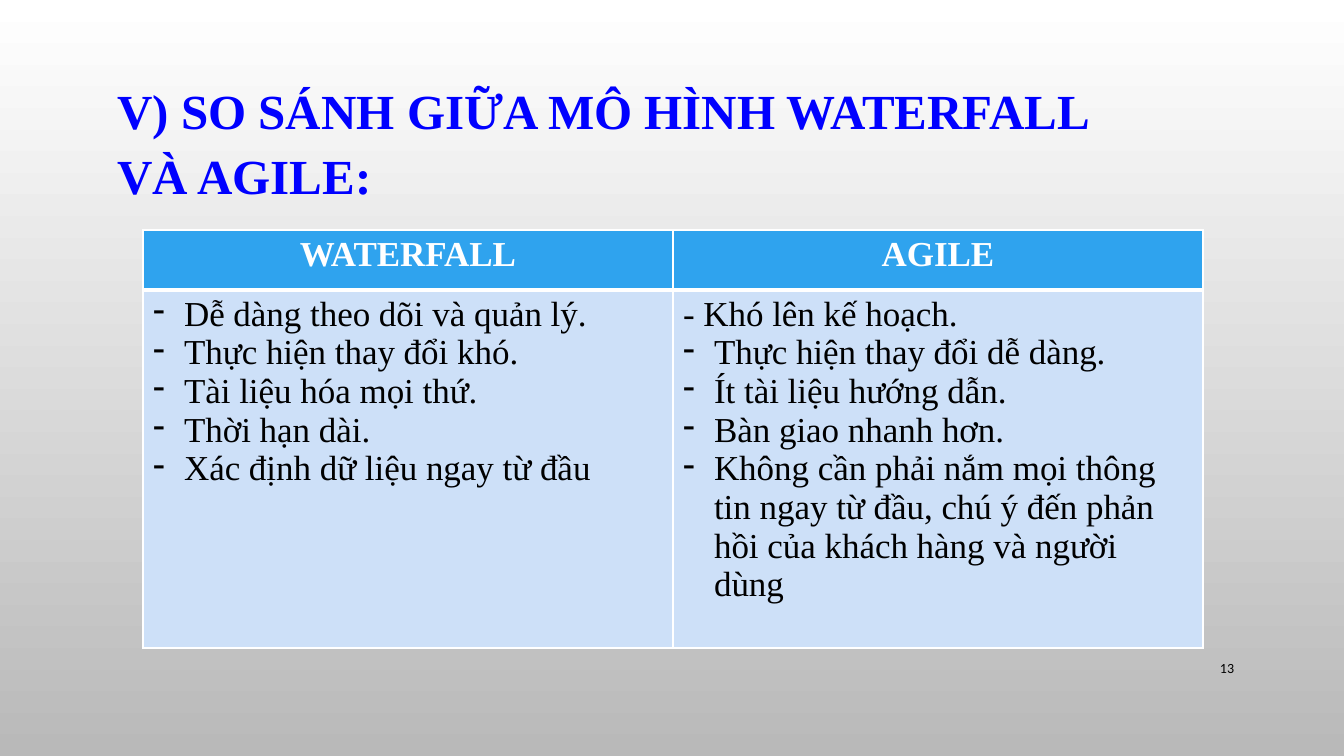
import pptx
import pptx.util
import pptx.dml.color
import pptx.enum.text
from pptx.oxml.ns import qn
from lxml import etree

ALIGN = pptx.enum.text.PP_ALIGN
ANCHOR = pptx.enum.text.MSO_ANCHOR
SERIF = "Times New Roman"

WATERFALL = ["Dễ dàng theo dõi và quản lý.", "Thực hiện thay đổi khó.",
             "Tài liệu hóa mọi thứ.", "Thời hạn dài.",
             "Xác định dữ liệu ngay từ đầu"]
AGILE = ["- Khó lên kế hoạch.", "Thực hiện thay đổi dễ dàng.",
         "Ít tài liệu hướng dẫn.", "Bàn giao nhanh hơn.",
         "Không cần phải nắm mọi thông tin ngay từ đầu, "
         "chú ý đến phản hồi của khách hàng và người dùng"]


def px(n):
    """Turn pixels, 100.8 to the inch, into EMU."""
    return pptx.util.Emu(round(n * 914400 / 100.8))


def rgb(color):
    return pptx.dml.color.RGBColor.from_string(color)


def write(p, text, size=25, font=SERIF, color="000000", bold=False,
          align=ALIGN.LEFT, spacing=1.0, dash=False):
    p.alignment = align
    p.line_spacing = spacing
    r = p.add_run()
    r.text = text
    r.font.size = pptx.util.Pt(size)
    r.font.name = font
    r.font.bold = bold
    r.font.color.rgb = rgb(color)
    if dash:
        pPr = p._p.get_or_add_pPr()
        pPr.set("marL", str(px(31)))
        pPr.set("indent", str(px(-31)))
        etree.SubElement(pPr, qn("a:buFontTx"))
        etree.SubElement(pPr, qn("a:buChar"), char="-")


class Slide:
    def __init__(self, prs):
        self.s = prs.slides.add_slide(prs.slide_layouts[5])
        self.title_color = "0000FF"
        self.header_fill, self.body_fill = "2FA3EE", "CDE0F8"
        self.border = "FFFFFF"

    def background(self, top, bottom):
        fill = self.s.background.fill
        fill.gradient()
        fill.gradient_angle = 270
        for stop, color in zip(fill.gradient_stops, (top, bottom)):
            stop.color.rgb = rgb(color)

    def title(self, text, x, y, w, h):
        sp = self.s.shapes.title
        sp.left, sp.top, sp.width, sp.height = map(px, (x, y, w, h))
        tf = sp.text_frame
        tf.word_wrap = True
        tf.auto_size = pptx.enum.text.MSO_AUTO_SIZE.NONE
        tf.vertical_anchor = ANCHOR.TOP
        write(tf.paragraphs[0], text, size=35, color=self.title_color,
              bold=True, spacing=1.1)

    def cell(self, cell, fill, top=1, bottom=1):
        """Fill a cell and draw its borders, widths in points."""
        tcPr = cell._tc.get_or_add_tcPr()
        for side, width in zip("LRTB", (1, 1, top, bottom)):
            ln = etree.SubElement(tcPr, qn("a:ln" + side),
                                  w=str(pptx.util.Pt(width)))
            solid = etree.SubElement(ln, qn("a:solidFill"))
            etree.SubElement(solid, qn("a:srgbClr"), val=self.border)
        cell.fill.solid()
        cell.fill.fore_color.rgb = rgb(fill)

    def comparison(self, columns, x, y, w, row_heights):
        """Draw a header and a dashed list for each column."""
        table = self.s.shapes.add_table(
            2, len(columns), px(x), px(y), px(w), px(sum(row_heights))).table
        table.horz_banding = False
        for row, height in zip(table.rows, row_heights):
            row.height = px(height)
        for i, (heading, items) in enumerate(columns):
            table.columns[i].width = px(w // len(columns))
            header, body = table.cell(0, i), table.cell(1, i)
            self.cell(header, self.header_fill, bottom=3)
            self.cell(body, self.body_fill, top=3)
            write(header.text_frame.paragraphs[0], heading, color="FFFFFF",
                  bold=True, align=ALIGN.CENTER)
            tf = body.text_frame
            for j, item in enumerate(items):
                p = tf.add_paragraph() if j else tf.paragraphs[0]
                write(p, item, dash=not item.startswith("-"))

    def number(self, text, x, y, w, h):
        tf = self.s.shapes.add_textbox(*map(px, (x, y, w, h))).text_frame
        tf.word_wrap = True
        tf.vertical_anchor = ANCHOR.MIDDLE
        write(tf.paragraphs[0], text, size=10, font="Calibri",
              align=ALIGN.RIGHT)


def main():
    prs = pptx.Presentation()
    prs.slide_width, prs.slide_height = px(1344), px(756)
    s = Slide(prs)
    s.background("FFFFFF", "B9B9B9")
    s.title("V) SO SÁNH GIỮA MÔ HÌNH WATERFALL VÀ AGILE:", 107, 70, 1060, 159)
    s.comparison([("WATERFALL", WATERFALL), ("AGILE", AGILE)],
                 143, 230, 1060, (60, 358))
    s.number("13", 1159, 648, 85, 40)
    prs.save("out.pptx")


if __name__ == "__main__":
    main()
